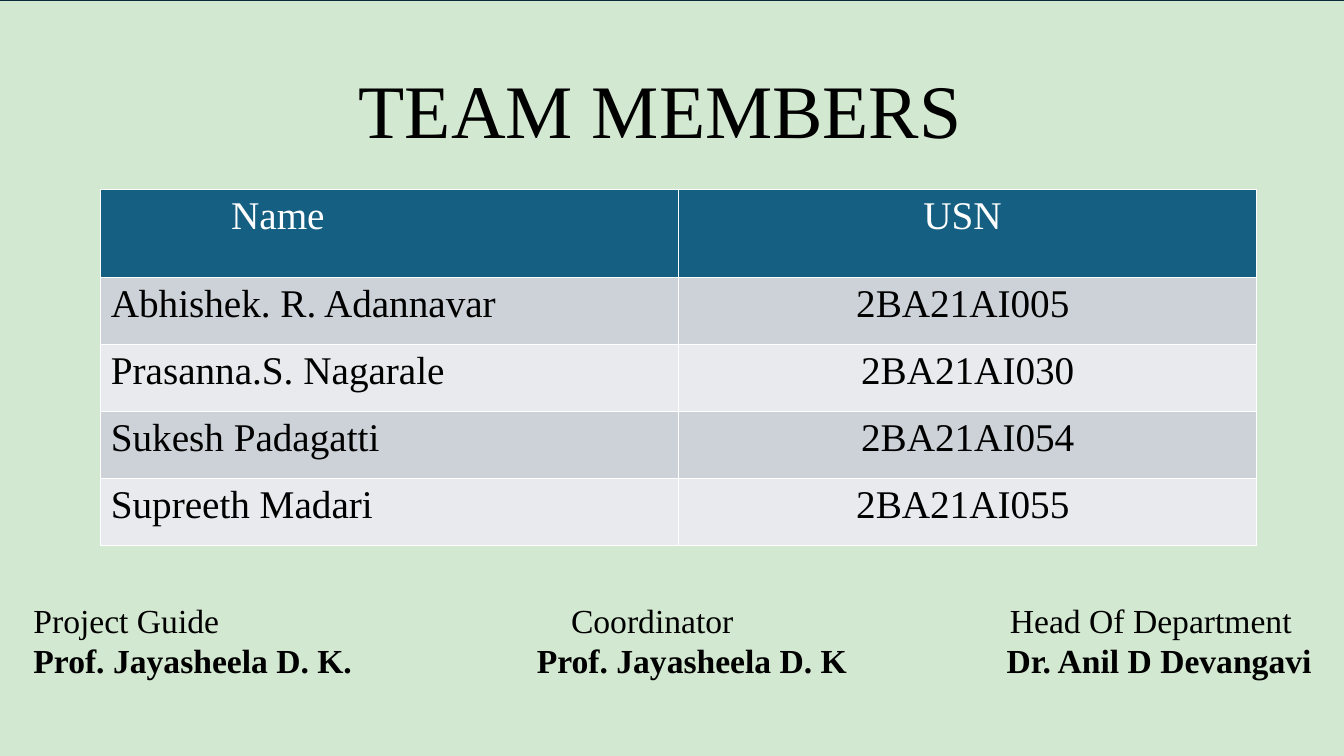
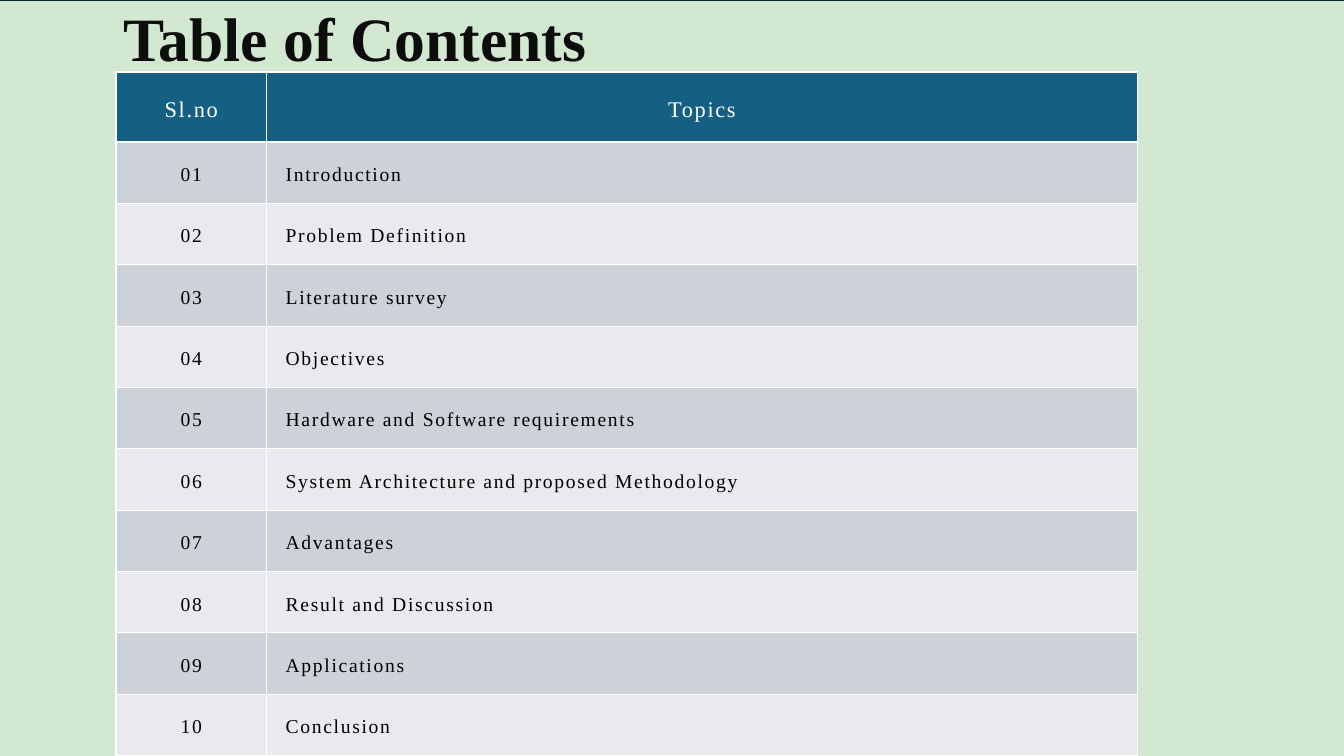
from pptx import Presentation, util as u
from pptx.dml.color import RGBColor
from pptx.enum import shapes, text

C = {"mint": "D3E8D0", "edge": "092A39", "blue": "156082", "grey": "CCD2D8",
     "pale": "E8EAED", "black": "000000", "ink": "0D0D0D", "white": "FFFFFF"}
FONT = "Times New Roman"
W, H = u.Inches(13.33), u.Inches(7.5)
LEFT, CENTER = text.PP_ALIGN.LEFT, text.PP_ALIGN.CENTER
TOP, MIDDLE = text.MSO_ANCHOR.TOP, text.MSO_ANCHOR.MIDDLE


def across(share):
    return round(W * share / 100)


def down(share):
    return round(H * share / 100)


def area(x, y, w, h):
    return across(x), down(y), across(w), down(h)


def rgb(name):
    return RGBColor.from_string(C[name])


def write(p, words, size, color="black", bold=False, align=LEFT,
          indent=0, tracking=0, leading=1.0):
    p.alignment, p.line_spacing = align, leading
    if indent:
        p._p.get_or_add_pPr().set("marL", str(across(indent)))
    r = p.add_run()
    r.text = words
    f = r.font
    f.name, f.size, f.bold, f.color.rgb = FONT, u.Pt(size), bold, rgb(color)
    if tracking:
        r._r.get_or_add_rPr().set("spc", str(round(tracking * 100)))


def add_slide(prs, title, place, **style):
    s = prs.slides.add_slide(prs.slide_layouts[5])
    backdrop = s.shapes.add_shape(shapes.MSO_SHAPE.RECTANGLE,
                                  *area(-0.8, 0, 101.9, 101.5))
    backdrop.shadow.inherit = False
    backdrop.fill.solid()
    backdrop.fill.fore_color.rgb = rgb("mint")
    backdrop.line.color.rgb = rgb("edge")
    backdrop.line.width = u.Pt(1.5)
    sp = s.shapes.title
    sp.element.addprevious(backdrop.element)
    sp.left, sp.top, sp.width, sp.height = area(*place)
    tf = sp.text_frame
    tf.word_wrap, tf.auto_size = True, text.MSO_AUTO_SIZE.NONE
    tf.vertical_anchor, tf.margin_top = TOP, 0
    write(tf.paragraphs[0], title, **style)
    return s


def add_table(s, rows, x, y, widths, head, body, sizes, aligns, head_aligns,
              anchor=TOP, insets=(0.1, 0.05), head_insets=None, **style):
    heights = [head] + [body] * (len(rows) - 1)
    table = s.shapes.add_table(len(rows), len(widths), *area(
        x, y, sum(widths), sum(heights))).table
    for col, width in zip(table.columns, widths):
        col.width = across(width)
    for i, (row, height) in enumerate(zip(rows, heights)):
        table.rows[i].height = down(height)
        for j, words in enumerate(row):
            cell = table.cell(i, j)
            cell.fill.solid()
            band = "blue" if i == 0 else "grey" if i % 2 else "pale"
            cell.fill.fore_color.rgb = rgb(band)
            cell.vertical_anchor = anchor
            cell.margin_left = cell.margin_right = u.Inches(insets[0])
            cell.margin_top = cell.margin_bottom = u.Inches(insets[1])
            if i == 0 and head_insets:
                cell.margin_left = across(head_insets[j])
            write(cell.text_frame.paragraphs[0], words, sizes[min(i, 1)],
                  color="black" if i else "white",
                  align=(aligns if i else head_aligns)[j], **style)


def add_signatory(s, x, role, name, indent):
    tf = s.shapes.add_textbox(*area(x, 78.67, 25.8, 12)).text_frame
    tf.word_wrap = True
    write(tf.paragraphs[0], role, 24, indent=indent)
    write(tf.add_paragraph(), name, 24, bold=True)


def team_slide(prs):
    s = add_slide(prs, "TEAM MEMBERS", (25.95, 8.27, 48.8, 15), size=54)
    members = [("Name", "USN"),
               ("Abhishek. R. Adannavar", "2BA21AI005 "),
               ("Prasanna.S. Nagarale", "2BA21AI030"),
               ("Sukesh Padagatti", "2BA21AI054"),
               ("Supreeth Madari", "2BA21AI055 ")]
    add_table(s, members, 7.5, 25.07, (43, 43), 11.6, 8.87, (28, 28),
              (LEFT, CENTER), (LEFT, LEFT), head_insets=(9.7, 18.2))
    for signatory in [
            (1.75, "Project Guide", "Prof. Jayasheela D. K.", 0),
            (39.2, "Coordinator", "Prof. Jayasheela D. K", 2.55),
            (74.15, "Head Of Department", "Dr. Anil D Devangavi", 0.25)]:
        add_signatory(s, *signatory)


def contents_slide(prs):
    s = add_slide(prs, "Table of Contents", (8.43, 0, 50, 9),
                  size=44, color="ink", bold=True)
    topics = ["Introduction", "Problem Definition", "Literature survey",
              "Objectives", "Hardware and Software requirements",
              "System Architecture and proposed Methodology", "Advantages",
              "Result and Discussion", "Applications", "Conclusion"]
    rows = [("Sl.no", "Topics")]
    rows += [(f"{n:02d}", topic) for n, topic in enumerate(topics, 1)]
    add_table(s, rows, 8.63, 9.53, (11.2, 64.8), 9.27, 8.12, (16, 14),
              (CENTER, LEFT), (CENTER, CENTER), anchor=MIDDLE,
              insets=(0.19, 0.06), tracking=1.2, leading=1.2)


def main():
    prs = Presentation()
    prs.slide_width, prs.slide_height = W, H
    team_slide(prs)
    contents_slide(prs)
    prs.save("out.pptx")


if __name__ == "__main__":
    main()
